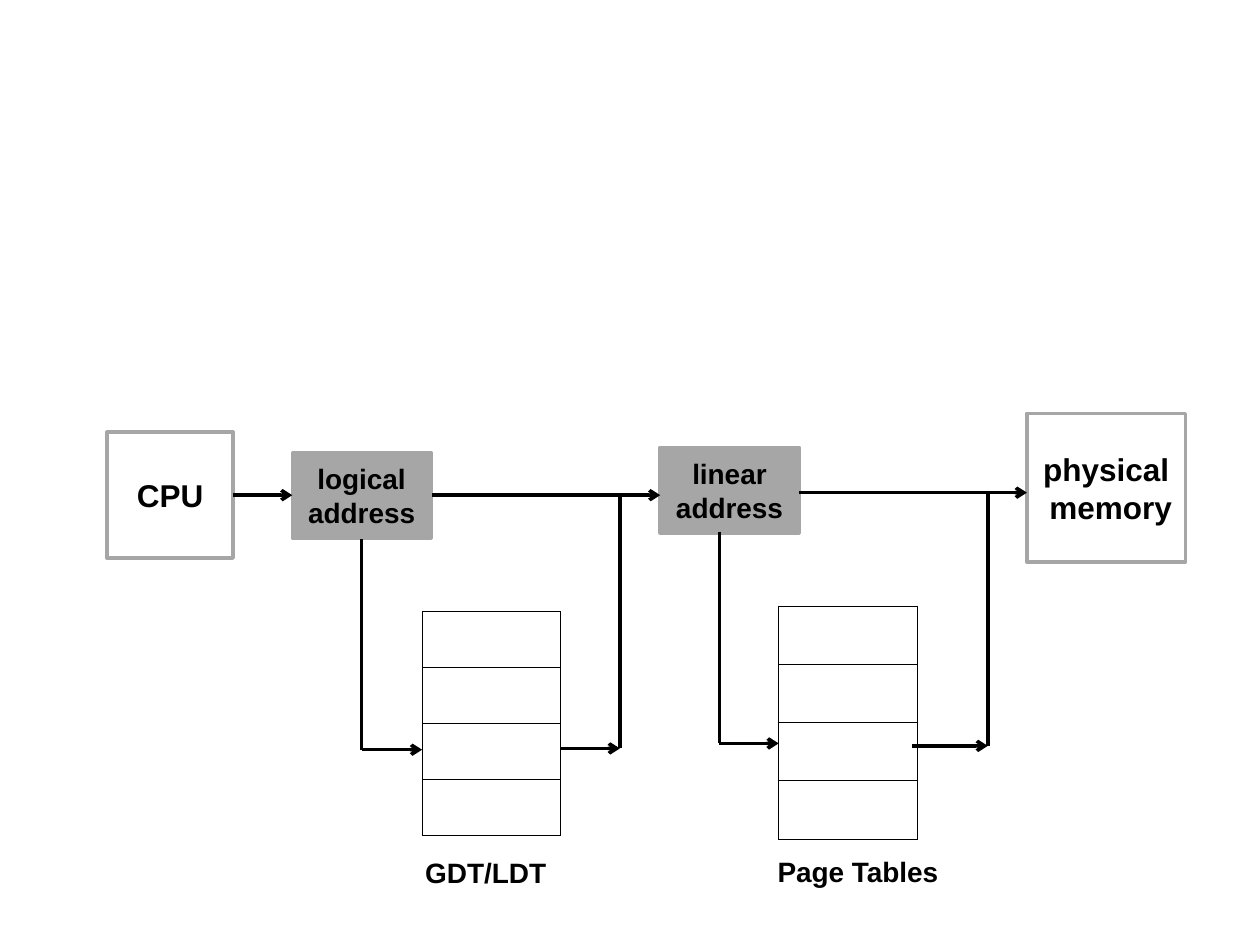
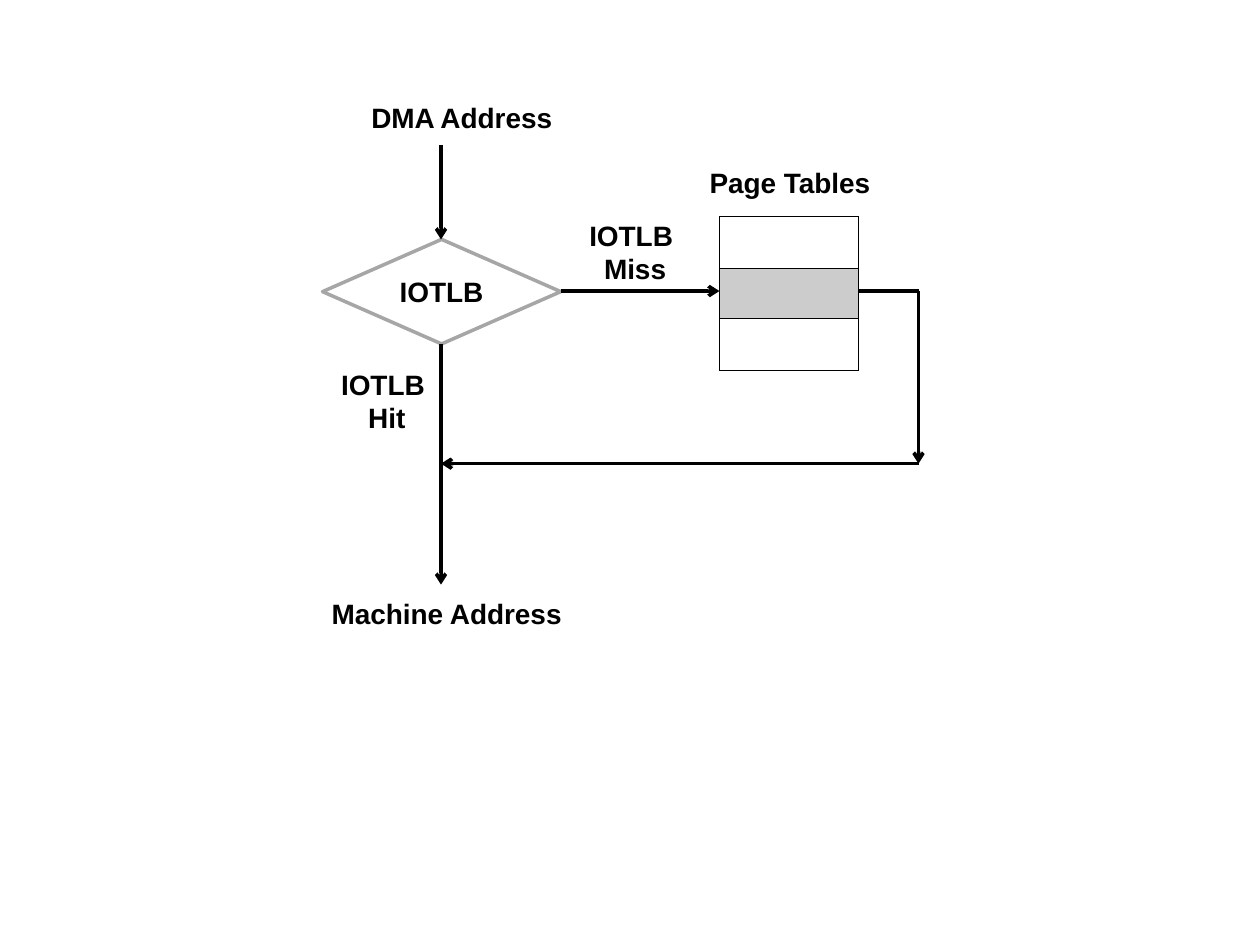
from lxml.etree import SubElement
from pptx import Presentation
from pptx.dml.color import RGBColor
from pptx.enum.shapes import MSO_CONNECTOR, MSO_SHAPE
from pptx.enum.text import MSO_ANCHOR, PP_ALIGN
from pptx.oxml import parse_xml
from pptx.oxml.ns import nsdecls, qn
from pptx.util import Inches, Pt

BLACK = "000000"
GRAY = "A6A6A6"
LIGHT_GRAY = "CCCCCC"
FONT = "Arial"
LINE_WIDTH = Pt(2)
BORDER_WIDTH = Pt(0.45)

color = RGBColor.from_string


def write_text(shape, text, size):
    text_frame = shape.text_frame
    text_frame.text = text
    text_frame.word_wrap = True
    text_frame.vertical_anchor = MSO_ANCHOR.MIDDLE
    for paragraph in text_frame.paragraphs:
        paragraph.alignment = PP_ALIGN.CENTER
        for run in paragraph.runs:
            run.font.name = FONT
            run.font.size = Pt(size)
            run.font.bold = True
            run.font.color.rgb = color(BLACK)


# Boxes: preset, (left, top, width, height), text, text size, fill
# Labels: (left, top, width, height), text
# Tables: (left, top, width), row heights, shaded rows
# Paths: points joined by straight lines, indexes of the lines with an arrowhead
address_translation = {
    "boxes": [
        (MSO_SHAPE.RECTANGLE, (0.85, 3.43, 1, 1), "CPU", 18, None),
        (MSO_SHAPE.RECTANGLE, (2.32, 3.59, 1.1, 0.68), "logical address", 16, GRAY),
        (MSO_SHAPE.RECTANGLE, (5.24, 3.55, 1.1, 0.68), "linear address", 16, GRAY),
        (MSO_SHAPE.RECTANGLE, (8.15, 3.28, 1.26, 1.18), "physical\n memory", 18, None),
    ],
    "labels": [
        ((2.87, 6.43, 1.97, 0.98), "GDT/LDT"),
        ((5.48, 6.44, 2.66, 0.95), "Page Tables"),
    ],
    "tables": [
        ((3.35, 4.85, 1.1), [0.445] * 4, []),
        ((6.18, 4.81, 1.1), [0.4625] * 4, []),
    ],
    "paths": [
        ([(1.85, 3.93), (2.32, 3.93)], [0]),
        ([(3.43, 3.93), (5.24, 3.93)], [0]),
        ([(6.34, 3.91), (8.15, 3.91)], [0]),
        ([(2.87, 4.28), (2.87, 5.95), (3.35, 5.95)], [1]),
        ([(4.45, 5.94), (4.92, 5.94), (4.92, 3.93)], [0]),
        ([(5.71, 4.22), (5.71, 5.9), (6.18, 5.9)], [1]),
        ([(7.24, 5.92), (7.84, 5.92), (7.84, 3.91)], [0]),
    ],
}
iotlb_lookup = {
    "boxes": [
        (MSO_SHAPE.FLOWCHART_DECISION, (2.56, 1.9, 1.89, 0.83), "IOTLB", 16, None),
    ],
    "labels": [
        ((2.72, 0.63, 1.89, 0.6), "DMA Address"),
        ((3.98, 1.7, 2.12, 0.6), "IOTLB \nMiss"),
        ((2.01, 2.88, 2.12, 0.6), "IOTLB \nHit"),
        ((2.48, 4.56, 2.13, 0.61), "Machine Address"),
        ((5.49, 1.15, 1.56, 0.6), "Page Tables"),
    ],
    "tables": [((5.71, 1.72, 1.1), [0.41, 0.4, 0.41], [1])],
    "paths": [
        ([(3.5, 1.15), (3.5, 1.9)], [0]),
        ([(3.5, 2.73), (3.5, 4.64)], [0]),
        ([(4.45, 2.31), (5.71, 2.31)], [0]),
        ([(6.81, 2.31), (7.29, 2.31), (7.29, 3.68), (3.5, 3.68)], [1, 2]),
    ],
}

presentation = Presentation()
presentation.slide_width = Inches(10)
presentation.slide_height = Inches(7.5)

for diagram in (address_translation, iotlb_lookup):
    slide = presentation.slides.add_slide(presentation.slide_layouts[6])

    for preset, place, text, size, fill in diagram["boxes"]:
        box = slide.shapes.add_shape(preset, *map(Inches, place))
        box.shadow.inherit = False
        box.line.color.rgb = color(GRAY)
        box.line.width = LINE_WIDTH
        if fill:
            box.fill.solid()
            box.fill.fore_color.rgb = color(fill)
        else:
            box.fill.background()
        write_text(box, text, size)

    for place, text in diagram["labels"]:
        label = slide.shapes.add_textbox(*map(Inches, place))
        write_text(label, text, 16)

    for (left, top, width), row_heights, shaded_rows in diagram["tables"]:
        table = slide.shapes.add_table(
            len(row_heights), 1, Inches(left), Inches(top), Inches(width), Inches(sum(row_heights))
        ).table
        table.first_row = False
        table.horz_banding = False
        for index, height in enumerate(row_heights):
            table.rows[index].height = Inches(height)
            cell = table.cell(index, 0)
            cell_properties = cell._tc.get_or_add_tcPr()
            for side in ("lnL", "lnR", "lnT", "lnB"):
                cell_properties.append(parse_xml(
                    f'<a:{side} {nsdecls("a")} w="{BORDER_WIDTH}"><a:solidFill>'
                    f'<a:srgbClr val="{BLACK}"/></a:solidFill></a:{side}>'
                ))
            if index in shaded_rows:
                cell.fill.solid()
                cell.fill.fore_color.rgb = color(LIGHT_GRAY)
            else:
                cell.fill.background()

    for points, arrow_indexes in diagram["paths"]:
        for index, (start, end) in enumerate(zip(points, points[1:])):
            connector = slide.shapes.add_connector(
                MSO_CONNECTOR.STRAIGHT, *map(Inches, start + end)
            )
            connector.line.color.rgb = color(BLACK)
            connector.line.width = LINE_WIDTH
            if index in arrow_indexes:
                SubElement(connector.line._get_or_add_ln(), qn("a:tailEnd"), type="arrow")
            SubElement(connector._element.spPr, qn("a:effectLst"))

presentation.save("out.pptx")
